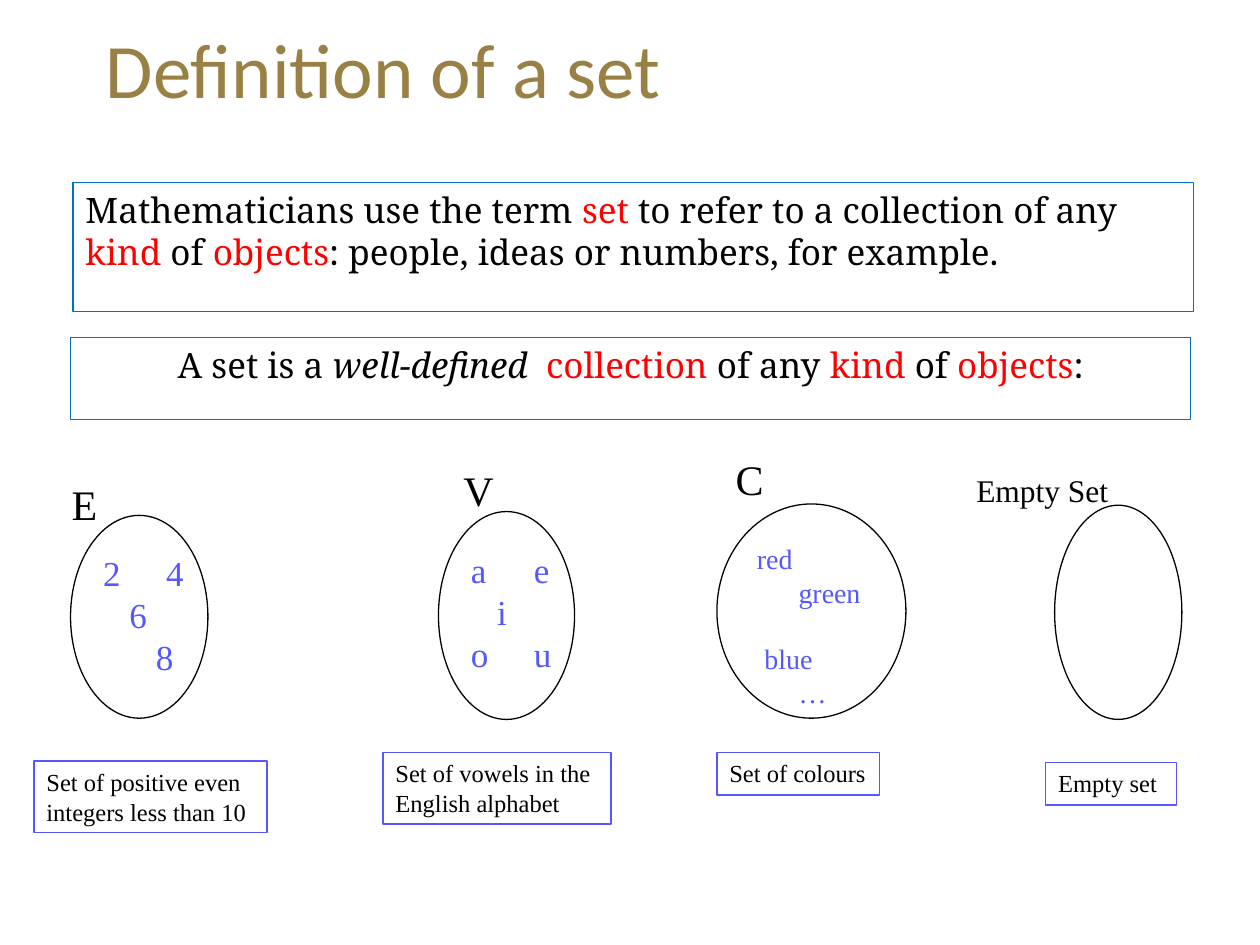
from lxml.etree import SubElement
from pptx import Presentation
from pptx.dml.color import RGBColor
from pptx.enum.shapes import MSO_SHAPE
from pptx.enum.text import MSO_ANCHOR, PP_ALIGN
from pptx.oxml.ns import qn
from pptx.util import Inches, Pt

BLACK = RGBColor(0x00, 0x00, 0x00)
WHITE = RGBColor(0xFF, 0xFF, 0xFF)
GOLD = RGBColor(0x99, 0x81, 0x46)
RED = RGBColor(0xFF, 0x00, 0x00)
BLUE = RGBColor(0x00, 0x70, 0xC0)
VIOLET = RGBColor(0x56, 0x58, 0xFC)

SERIF = "Noto Serif"
TIMES = "Times New Roman"
COLUMN = 0.21  # step between the columns of members inside an ellipse


def add_span(para, text, name, size, color, **extra):
    span = para.add_run()
    span.text = text
    span.font.color.rgb = color
    for key, value in {"name": name, "size": Pt(size), **extra}.items():
        setattr(span.font, key, value)


def add_outline(shapes, kind, box, line, fill=None):
    shape = shapes.add_shape(kind, *map(Inches, box))
    shape.shadow.inherit = False
    if fill is None:
        shape.fill.background()
    else:
        shape.fill.solid()
        shape.fill.fore_color.rgb = fill
    shape.line.color.rgb = line
    shape.line.width = Pt(0.75)
    shape.text_frame.vertical_anchor = MSO_ANCHOR.TOP
    return shape


def add_lines(frame, lines, size):
    """Write unwrapped black lines, one paragraph each."""
    frame.word_wrap = False
    for index, line in enumerate(lines):
        para = frame.paragraphs[0] if index == 0 else frame.add_paragraph()
        para.alignment = PP_ALIGN.LEFT
        add_span(para, line, TIMES, size, BLACK)


def add_title(page, box, text):
    title = page.shapes.title
    for key, value in zip(("left", "top", "width", "height"), box):
        setattr(title, key, Inches(value))
    title.text_frame.vertical_anchor = MSO_ANCHOR.MIDDLE
    para = title.text_frame.paragraphs[0]
    para.alignment = PP_ALIGN.LEFT
    add_span(para, text, "Calibri", 44, GOLD)


def add_statement(page, box, align, parts):
    """Framed sentence made of (text, colour, italic) parts."""
    frame = add_outline(page.shapes, MSO_SHAPE.RECTANGLE, box, BLUE).text_frame
    frame.word_wrap = True
    para = frame.paragraphs[0]
    para.alignment = align
    para.space_before = Pt(4)
    for text, color, italic in parts:
        add_span(para, text, SERIF, 20, color, italic=italic)


def add_members(frame, rows, size):
    """Write (indent, space before, text) rows; a tab leads to the third column."""
    frame.margin_right = 0
    for index, (indent, before, text) in enumerate(rows):
        para = frame.paragraphs[0] if index == 0 else frame.add_paragraph()
        para.alignment = PP_ALIGN.LEFT
        para.space_before = Pt(before)
        properties = para._p.get_or_add_pPr()
        properties.set("marL", str(Inches(indent)))
        properties.set("indent", "0")
        if "\t" in text:
            tabs = SubElement(properties, qn("a:tabLst"))
            SubElement(tabs, qn("a:tab"), pos=str(Inches(2 * COLUMN)), algn="l")
        add_span(para, text, TIMES, size, VIOLET)


def add_set(page, ellipse, name_box, caption_box, name, caption,
            rows=(), size=20, name_size=24):
    """Ellipse with its members, name above and framed caption below."""
    shapes = page.shapes.add_group_shape().shapes
    oval = add_outline(shapes, MSO_SHAPE.OVAL, ellipse, BLACK, WHITE)
    add_members(oval.text_frame, rows, size)
    frame = add_outline(shapes, MSO_SHAPE.RECTANGLE, caption_box, VIOLET)
    add_lines(frame.text_frame, caption, 14)
    label = shapes.add_textbox(*map(Inches, name_box))
    add_lines(label.text_frame, [name], name_size)


def main():
    deck = Presentation()
    deck.slide_width, deck.slide_height = Inches(10), Inches(7.5)
    page = deck.slides.add_slide(deck.slide_layouts[5])

    add_title(page, (0.74, 0.12, 8.51, 0.83), "Definition of a set")

    # Statements
    add_statement(page, (0.58, 1.45, 8.89, 1.02), PP_ALIGN.LEFT, [
        ("Mathematicians use the term ", BLACK, False),
        ("set ", RED, False),
        ("to refer to a collection of any ", BLACK, False),
        ("kind", RED, False),
        (" of ", BLACK, False),
        ("objects", RED, False),
        (": people, ideas or numbers, for example.", BLACK, False),
    ])
    add_statement(page, (0.56, 2.68, 8.89, 0.65), PP_ALIGN.CENTER, [
        ("A set is a ", BLACK, False),
        ("well-defined  ", BLACK, True),
        ("collection ", RED, False),
        ("of any ", BLACK, False),
        ("kind ", RED, False),
        ("of ", BLACK, False),
        ("objects", RED, False),
        (":", BLACK, False),
    ])

    # Example sets
    add_set(page, (0.56, 4.09, 1.09, 1.61), (0.47, 3.75, 0.41, 0.5),
            (0.27, 6.04, 1.85, 0.57), "E",
            ["Set of positive even", "integers less than 10"],
            [(0, 0, "2\t4"), (COLUMN, 0, "6"), (2 * COLUMN, 0, "8")])
    add_set(page, (3.48, 4.06, 1.08, 1.65), (3.58, 3.64, 0.45, 0.5),
            (3.04, 5.97, 1.81, 0.57), "V",
            ["Set of vowels in the", "English alphabet"],
            [(0, 0, "a\te"), (COLUMN, 0, "i"), (0, 0, "o\tu")])
    add_set(page, (5.69, 4, 1.5, 1.7), (5.74, 3.55, 0.43, 0.5),
            (5.69, 5.97, 1.29, 0.34), "C", ["Set of colours"],
            [(0, 0, "red"), (0.33, 0, "green"), (0.06, 19, "blue"),
             (0.33, 0, "…")], size=16)
    add_set(page, (8.37, 4.01, 1.01, 1.7), (7.65, 3.69, 1.26, 0.4),
            (8.3, 6.05, 1.04, 0.34), "Empty Set", ["Empty set"], name_size=18)

    deck.save("out.pptx")


if __name__ == "__main__":
    main()
